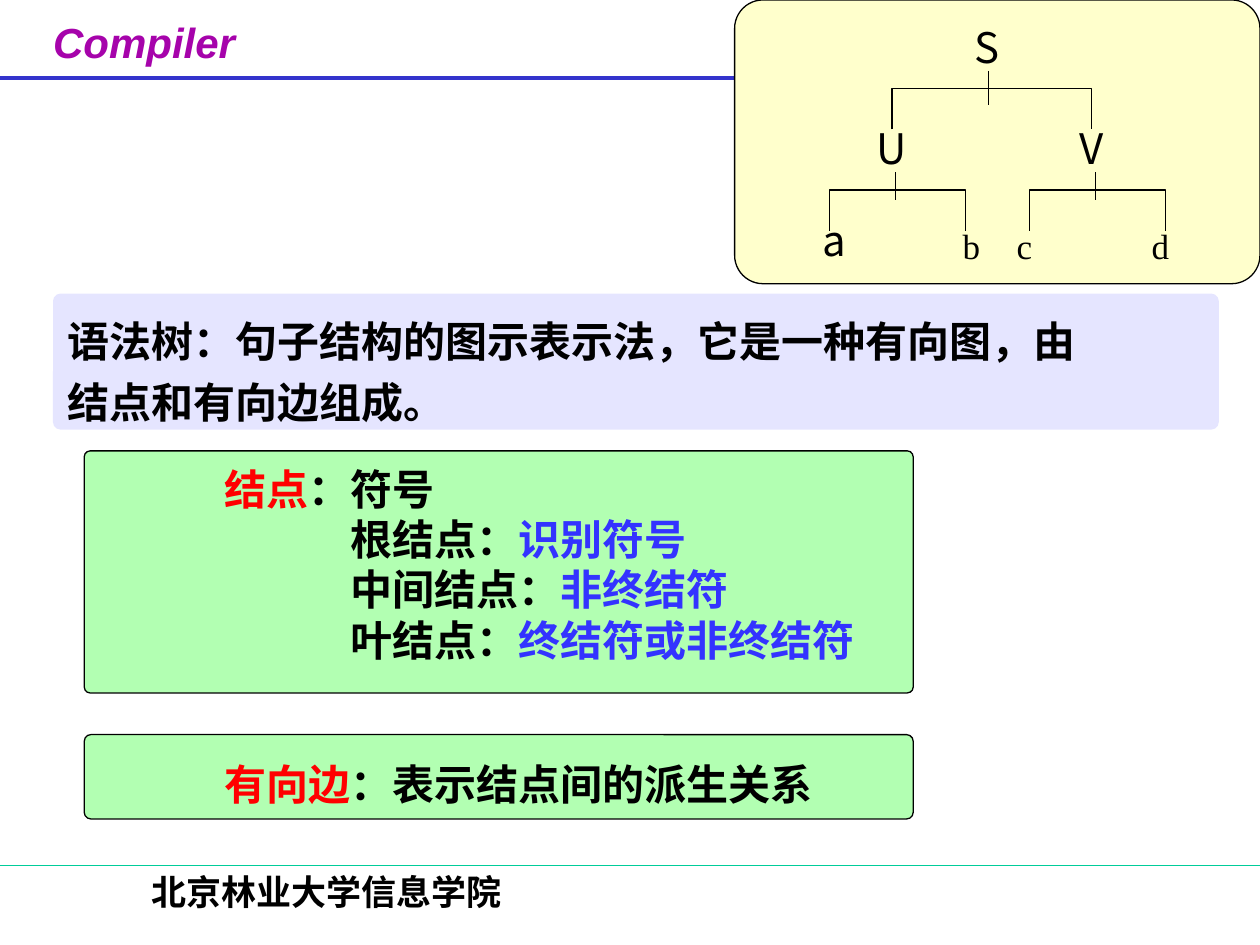
from dataclasses import dataclass

from lxml import etree
from pptx import Presentation
from pptx.dml.color import RGBColor
from pptx.enum.shapes import MSO_CONNECTOR, MSO_SHAPE
from pptx.enum.text import MSO_ANCHOR, MSO_AUTO_SIZE, PP_ALIGN
from pptx.oxml.ns import qn
from pptx.util import Cm, Pt

STRAIGHT = MSO_CONNECTOR.STRAIGHT
ROUNDED = MSO_SHAPE.ROUNDED_RECTANGLE
TOP, MIDDLE = MSO_ANCHOR.TOP, MSO_ANCHOR.MIDDLE
LEFT, CENTER = PP_ALIGN.LEFT, PP_ALIGN.CENTER
TITLE_AND_CONTENT = 1


@dataclass(frozen=True)
class Theme:
    text: str = "000000"
    title: str = "A603AB"
    term: str = "FF0000"
    value: str = "3333FF"
    header_rule: str = "3333CC"
    footer_rule: str = "00CC99"
    definition: str = "CCCCFF"
    detail: str = "66FF66"
    panel: str = "FFFFCC"
    large: int = 24
    small: int = 20
    sans: str = "Noto Sans CJK SC"
    serif: str = "Times New Roman"
    heading: str = "Arial"


THEME = Theme()


def rgb(color):
    return RGBColor.from_string(color)


def place(shape, left, top, width, height):
    shape.left, shape.top = Cm(left), Cm(top)
    shape.width, shape.height = Cm(width), Cm(height)


def style_frame(frame, anchor, top=0.13, bottom=0.13):
    frame.word_wrap = True
    frame.auto_size = MSO_AUTO_SIZE.NONE
    frame.vertical_anchor = anchor
    frame.margin_left = frame.margin_right = Cm(0.25)
    frame.margin_top, frame.margin_bottom = Cm(top), Cm(bottom)


def write(paragraph, runs, size, font_name, bold=False, align=LEFT,
          spacing=None, indent=0):
    """Fill a paragraph with (text, color) runs; spacing is in points."""
    paragraph.alignment = align
    paragraph.space_before = Pt(0)
    if spacing:
        paragraph.line_spacing = Pt(spacing)
    properties = paragraph._p.get_or_add_pPr()
    properties.set("marL", str(Cm(indent)))
    properties.set("indent", "0")
    etree.SubElement(properties, qn("a:buNone"))
    font = paragraph.font
    font.size, font.name, font.bold = Pt(size), font_name, bold
    etree.SubElement(font._rPr, qn("a:ea"), typeface=THEME.sans)
    for text, color in runs:
        run = paragraph.add_run()
        run.text = text
        run.font.color.rgb = rgb(color)


def paint(shape, color, opacity=100, outlined=True):
    shape.fill.solid()
    shape.fill.fore_color.rgb = rgb(color)
    if opacity < 100:
        color_element = shape._element.spPr.find(f".//{qn('a:srgbClr')}")
        etree.SubElement(color_element, qn("a:alpha"), val=str(opacity * 1000))
    if outlined:
        shape.line.color.rgb = rgb(THEME.text)
        shape.line.width = Pt(0.75)
    else:
        shape.line.fill.background()


def add_box(slide, bounds, radius, color, opacity=100, outlined=True):
    box = slide.shapes.add_shape(ROUNDED, *map(Cm, bounds))
    box.adjustments[0] = radius
    box.shadow.inherit = False
    paint(box, color, opacity, outlined)
    return box


def add_line(slide, start, end, color=THEME.text, width=0.75):
    line = slide.shapes.add_connector(STRAIGHT, *map(Cm, (*start, *end)))
    line.line.color.rgb = rgb(color)
    line.line.width = Pt(width)
    etree.SubElement(line._element.spPr, qn("a:effectLst"))


def add_label(slide, bounds, text, size, font_name, **options):
    label = slide.shapes.add_textbox(*map(Cm, bounds))
    style_frame(label.text_frame, TOP)
    write(label.text_frame.paragraphs[0], [(text, THEME.text)], size,
          font_name, align=CENTER, **options)


def add_branch(slide, left, right, bar, stem, stem_drop):
    """Draw the bracket over two children and the stem of their parent."""
    bottom = bar + 0.82
    builder = slide.shapes.build_freeform(Cm(left), Cm(bottom))
    corners = [(left, bar), (right, bar), (right, bottom)]
    builder.add_line_segments([(Cm(x), Cm(y)) for x, y in corners], close=False)
    bracket = builder.convert_to_shape()
    bracket.shadow.inherit = False
    bracket.fill.background()
    bracket.line.color.rgb = rgb(THEME.text)
    bracket.line.width = Pt(0.75)
    add_line(slide, (stem, bar - 0.36), (stem, bar + stem_drop))


def add_title(slide):
    title = slide.shapes.title
    place(title, 0.48, 0.2, 4.85, 1.4)
    style_frame(title.text_frame, TOP)
    paragraph = title.text_frame.paragraphs[0]
    write(paragraph, [("Compiler", THEME.title)], THEME.large, THEME.heading,
          bold=True, align=CENTER)
    paragraph.font.italic = True


def add_definition(slide):
    box = add_box(slide, (1.07, 5.92, 23.5, 2.74), 0.054, THEME.definition,
                  opacity=50, outlined=False)
    frame = box.text_frame
    style_frame(frame, MIDDLE, top=0.29)
    lines = ["语法树：句子结构的图示表示法，它是一种有向图，由", "结点和有向边组成。"]
    for index, text in enumerate(lines):
        paragraph = frame.add_paragraph() if index else frame.paragraphs[0]
        write(paragraph, [(text, THEME.text)], THEME.large, THEME.serif,
              bold=True, spacing=34.8)


def add_node_list(slide):
    body = slide.placeholders[1]
    place(body, 1.7, 9.09, 16.71, 4.88)
    geometry = etree.SubElement(body._element.spPr, qn("a:prstGeom"),
                                prst="roundRect")
    guides = etree.SubElement(geometry, qn("a:avLst"))
    etree.SubElement(guides, qn("a:gd"), name="adj", fmla="val 2400")
    paint(body, THEME.detail, opacity=50)
    frame = body.text_frame
    style_frame(frame, MIDDLE, bottom=0.45)
    rows = [
        (2.54, [("结点", THEME.term), ("：符号", THEME.text)]),
        (5.08, [("根结点：", THEME.text), ("识别符号", THEME.value)]),
        (5.08, [("中间结点：", THEME.text), ("非终结符", THEME.value)]),
        (5.08, [("叶结点：", THEME.text), ("终结符或非终结符", THEME.value)]),
    ]
    for index, (indent, runs) in enumerate(rows):
        paragraph = frame.add_paragraph() if index else frame.paragraphs[0]
        write(paragraph, runs, THEME.large, THEME.sans, bold=True,
              spacing=28.8, indent=indent)


def add_edge_note(slide):
    box = add_box(slide, (1.7, 14.81, 16.71, 1.7), 0.078, THEME.detail, opacity=50)
    style_frame(box.text_frame, MIDDLE, top=0.29)
    runs = [("有向边", THEME.term), ("：表示结点间的派生关系", THEME.text)]
    write(box.text_frame.paragraphs[0], runs, THEME.large, THEME.sans,
          bold=True, spacing=32, indent=2.54)


def add_syntax_tree(slide):
    add_box(slide, (14.81, 0, 10.59, 5.72), 0.1, THEME.panel)
    large_nodes = [("S", 19.9, 0.3), ("U", 17.98, 2.34), ("V", 22, 2.34),
                   ("a", 16.82, 4.19)]
    for text, center, top in large_nodes:
        add_label(slide, (center - 0.75, top, 1.5, 1.27), text,
                  THEME.large, THEME.sans)
    for text, center in [("b", 19.58), ("c", 20.65), ("d", 23.39)]:
        add_label(slide, (center - 0.53, 4.39, 1.06, 1.12), text,
                  THEME.small, THEME.serif)
    add_branch(slide, 17.98, 22, 1.79, 19.93, 0.32)
    for offset in (0, 4.03):
        add_branch(slide, 16.72 + offset, 19.47 + offset, 3.83,
                   18.05 + offset, 0.2)


def main():
    presentation = Presentation()
    presentation.slide_width, presentation.slide_height = Cm(25.4), Cm(19.05)
    layout = presentation.slide_layouts[TITLE_AND_CONTENT]
    slide = presentation.slides.add_slide(layout)
    add_title(slide)
    add_line(slide, (0, 1.57), (25.4, 1.57), THEME.header_rule, 2.25)
    add_line(slide, (0, 17.45), (25.4, 17.45), THEME.footer_rule)
    add_label(slide, (1.32, 17.42, 10.52, 1.27), "北京林业大学信息学院",
              THEME.small, THEME.serif, bold=True, spacing=24)
    add_definition(slide)
    add_node_list(slide)
    add_edge_note(slide)
    add_syntax_tree(slide)
    presentation.save("out.pptx")


if __name__ == "__main__":
    main()
